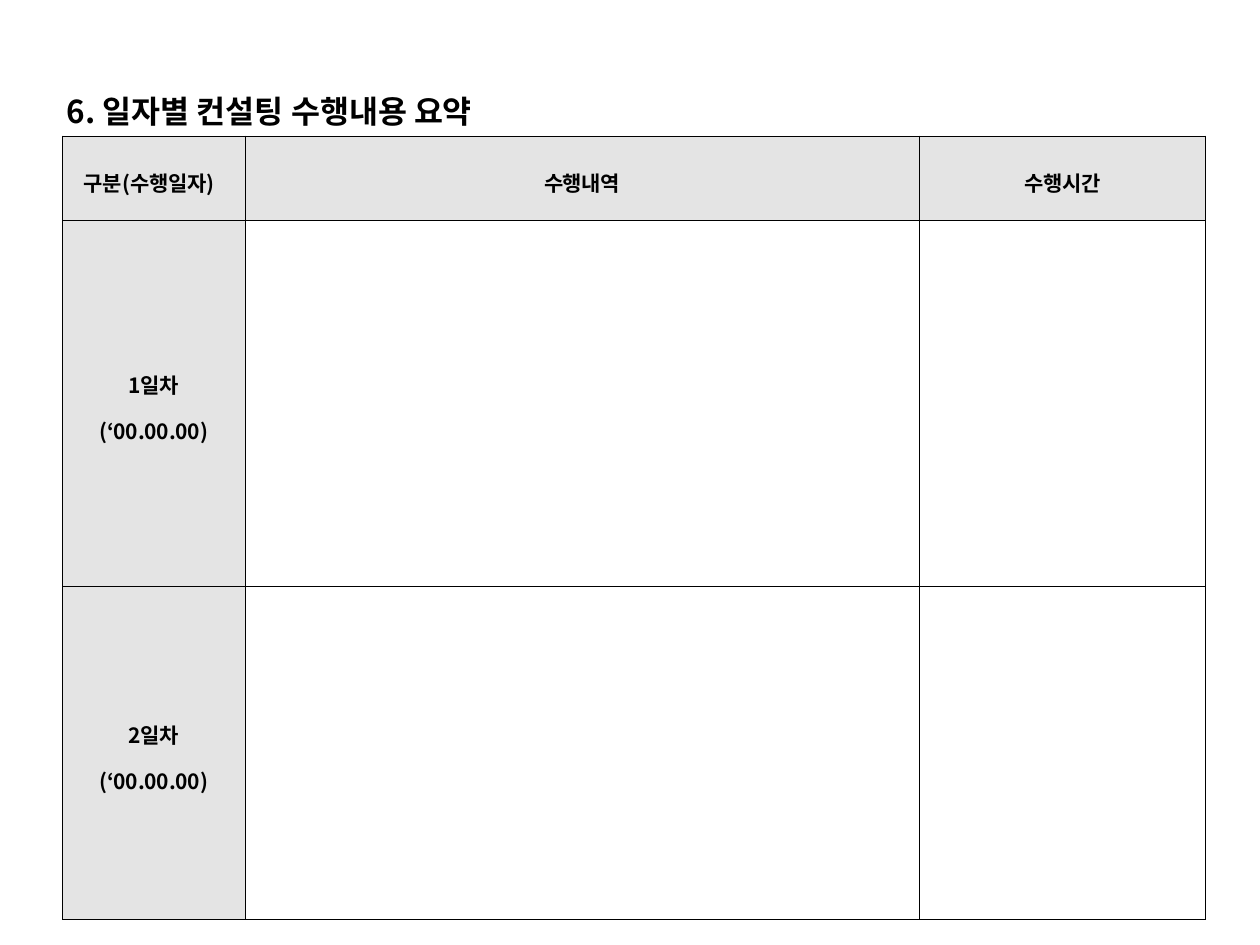
"""Build the daily consulting summary slide."""
from lxml.etree import SubElement
from pptx import Presentation
from pptx.dml.color import RGBColor
from pptx.enum.text import MSO_ANCHOR, PP_ALIGN
from pptx.oxml.ns import qn
from pptx.util import Cm, Pt

FONT = "Noto Sans CJK KR"
BLACK = RGBColor(0x00, 0x00, 0x00)
GRAY = RGBColor(0xE4, 0xE4, 0xE4)
COLUMN_WIDTHS = (3.68, 13.59, 5.77)
ROW_HEIGHTS = (1.7, 7.39, 6.71)
HEADERS = (("구분(수행일자)", -10), ("수행내역", -20), ("수행시간", -20))
DAYS = (("1일차", -20), ("2일차", -20))
DATE = "(‘00.00.00)"


def add_text(paragraph, text, size=12, spacing=0, align=PP_ALIGN.LEFT, before=0):
    paragraph.alignment = align
    paragraph.space_before = Pt(before)
    run = paragraph.add_run()
    run.text = text
    font = run.font
    font.name, font.size, font.bold = FONT, Pt(size), True
    font.color.rgb = BLACK
    properties = font._element
    properties.set("spc", str(spacing))
    SubElement(properties, qn("a:ea")).set("typeface", FONT)


def set_margins(target, left=0, top=0):
    target.margin_left, target.margin_top = Cm(left), Cm(top)
    target.margin_right = target.margin_bottom = 0


def add_title(slide):
    box = slide.shapes.add_textbox(Cm(1.32), Cm(1.8), Cm(9.12), Cm(0.84))
    frame = box.text_frame
    frame.word_wrap = True
    set_margins(frame, left=0.03, top=0.06)
    paragraph = frame.paragraphs[0]
    add_text(paragraph, "6. 일자별 컨설팅 수행내용 ", size=18)
    add_text(paragraph, "요약", size=18, spacing=-20)


def format_cell(cell, shaded):
    properties = cell._tc.get_or_add_tcPr()
    for side in ("L", "R", "T", "B"):
        line = SubElement(properties, qn(f"a:ln{side}"), w=str(Pt(0.5)))
        fill = SubElement(line, qn("a:solidFill"))
        SubElement(fill, qn("a:srgbClr"), val=str(BLACK))
    if shaded:
        cell.fill.solid()
        cell.fill.fore_color.rgb = GRAY
    else:
        cell.fill.background()
    set_margins(cell, top=0.16)
    cell.vertical_anchor = MSO_ANCHOR.MIDDLE


def add_schedule(slide):
    frame = slide.shapes.add_table(
        len(ROW_HEIGHTS), len(COLUMN_WIDTHS), Cm(1.26), Cm(2.74),
        Cm(sum(COLUMN_WIDTHS)), Cm(sum(ROW_HEIGHTS)))
    table = frame.table
    table.first_row = table.horz_banding = False
    for column, width in zip(table.columns, COLUMN_WIDTHS):
        column.width = Cm(width)
    for row, height in zip(table.rows, ROW_HEIGHTS):
        row.height = Cm(height)
    for row_index, row in enumerate(table.rows):
        for column_index, cell in enumerate(row.cells):
            format_cell(cell, shaded=row_index == 0 or column_index == 0)

    for index, (text, spacing) in enumerate(HEADERS):
        cell = table.cell(0, index)
        align = PP_ALIGN.CENTER if index else PP_ALIGN.LEFT
        add_text(cell.text_frame.paragraphs[0], text, spacing=spacing, align=align)
    table.cell(0, 0).margin_left = Cm(0.43)

    for index, (text, spacing) in enumerate(DAYS, start=1):
        frame = table.cell(index, 0).text_frame
        add_text(frame.paragraphs[0], text, spacing=spacing, align=PP_ALIGN.CENTER)
        add_text(frame.add_paragraph(), DATE, spacing=-10,
                 align=PP_ALIGN.CENTER, before=8.7)


def main():
    presentation = Presentation()
    presentation.slide_width, presentation.slide_height = Cm(25.4), Cm(19.05)
    slide = presentation.slides.add_slide(presentation.slide_layouts[6])
    add_title(slide)
    add_schedule(slide)
    presentation.save("out.pptx")


if __name__ == "__main__":
    main()
